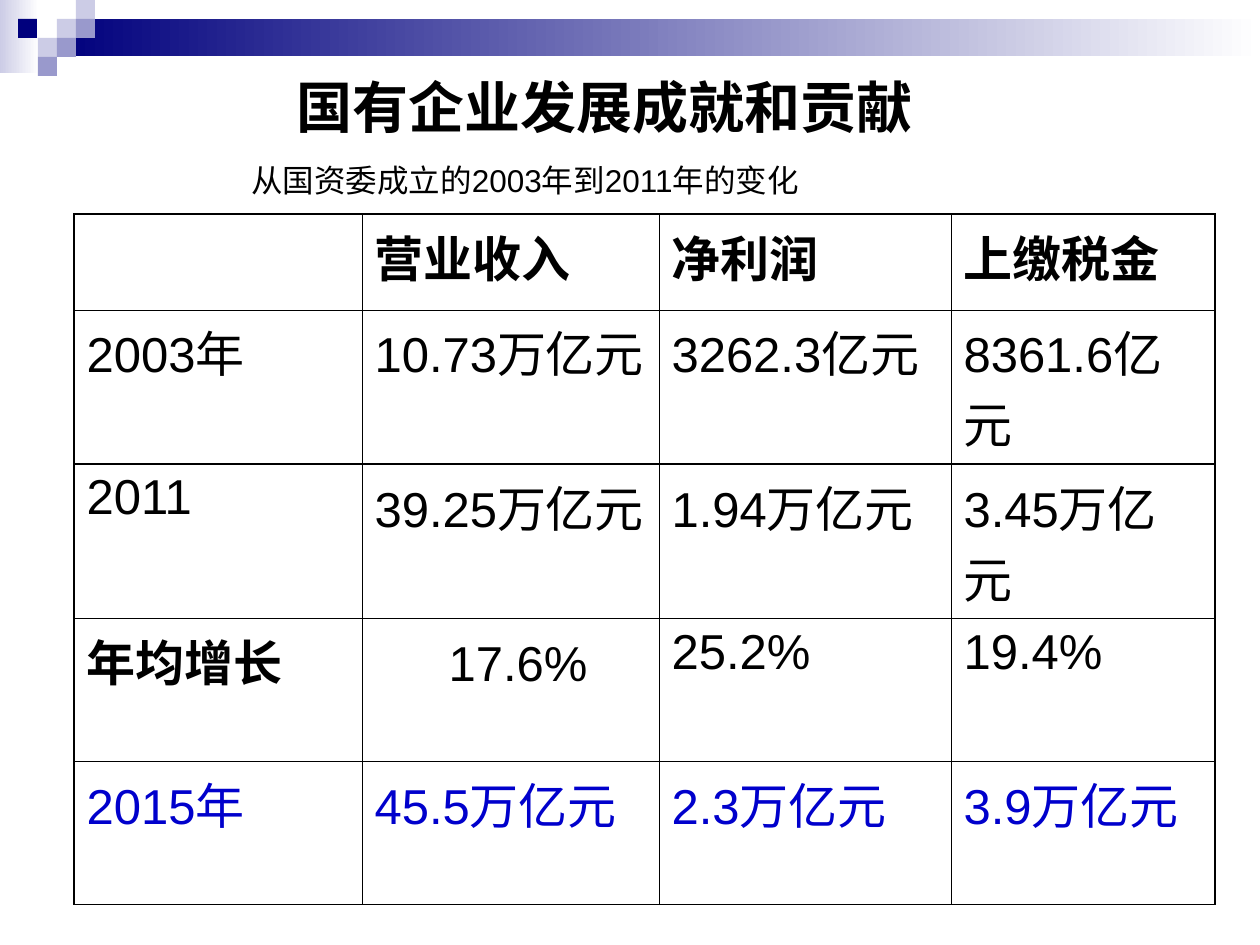
from dataclasses import dataclass
from typing import Optional

from lxml import etree
from pptx import Presentation
from pptx.dml.color import RGBColor
from pptx.enum.shapes import MSO_SHAPE
from pptx.enum.text import MSO_ANCHOR, MSO_AUTO_SIZE
from pptx.oxml.ns import qn
from pptx.util import Emu, Pt

RECT = MSO_SHAPE.RECTANGLE
TOP = MSO_ANCHOR.TOP
MIDDLE = MSO_ANCHOR.MIDDLE
FIXED = MSO_AUTO_SIZE.NONE


@dataclass(frozen=True)
class Theme:
    font: str = "Arial"
    black: str = "000000"
    white: str = "FFFFFF"
    blue: str = "0000CC"
    navy: str = "00007D"
    mid: str = "9999CC"
    pale: str = "CCCCE6"
    title: int = 32
    body: int = 28
    note: int = 18
    thin: float = 0.45
    thick: float = 1.08


@dataclass(frozen=True)
class Block:
    left: int
    top: int
    width: int
    height: int
    color: str
    fade: bool = False


@dataclass(frozen=True)
class Label:
    left: int
    top: int
    width: int
    height: int
    text: str
    size: int
    bold: bool = False
    anchor: MSO_ANCHOR = TOP


THEME = Theme()
SIDE = 19

BLOCKS = [
    Block(0, 0, 39, 73, THEME.pale, fade=True),
    Block(57, 19, 1203, 37, THEME.navy, fade=True),
] + [
    Block(left, row * SIDE, SIDE, SIDE, color)
    for left, row, color in [
        (57, 1, THEME.pale),
        (76, 0, THEME.pale),
        (76, 1, THEME.mid),
        (38, 2, THEME.pale),
        (18, 1, THEME.navy),
        (57, 2, THEME.mid),
        (38, 3, THEME.mid),
    ]
]

LABELS = [
    Label(284, 66, 654, 81, "国有企业发展成就和贡献", THEME.title, bold=True),
    Label(239, 155, 618, 50, "从国资委成立的2003年到2011年的变化", THEME.note, anchor=MIDDLE),
]

COLS = [288, 297, 292, 264]
ROWS = [96, 143, 143, 143, 143]
CELLS = [
    ["", "营业收入", "净利润", "上缴税金"],
    ["2003年", "10.73万亿元", "3262.3亿元", "8361.6亿元"],
    ["2011", "39.25万亿元", "1.94万亿元", "3.45万亿元"],
    ["年均增长", "17.6%", "25.2%", "19.4%"],
    ["2015年", "45.5万亿元", "2.3万亿元", "3.9万亿元"],
]
GROWTH = (3, 1)


def px(count: int) -> Emu:
    return Emu(round(count * 914400 / 126))


def write(frame, text: str, *, size: int, color: str = THEME.black,
          bold: bool = False, indent: Optional[int] = None) -> None:
    para = frame.paragraphs[0]
    if indent is not None:
        props = para._p.get_or_add_pPr()
        props.set("marL", str(px(indent)))
        props.set("indent", "0")
    run = para.add_run()
    run.text = text
    run.font.name = THEME.font
    run.font.size = Pt(size)
    run.font.bold = bold
    run.font.color.rgb = RGBColor.from_string(color)


def draw_block(slide, block: Block) -> None:
    shape = slide.shapes.add_shape(
        RECT, px(block.left), px(block.top), px(block.width), px(block.height))
    shape.shadow.inherit = False
    shape.line.fill.background()
    if block.fade:
        shape.fill.gradient()
        shape.fill.gradient_angle = 180
        for stop, color in zip(shape.fill.gradient_stops, (THEME.white, block.color)):
            stop.color.rgb = RGBColor.from_string(color)
        first, last = shape.fill.gradient_stops
        first.position, last.position = 0, 1
    else:
        shape.fill.solid()
        shape.fill.fore_color.rgb = RGBColor.from_string(block.color)


def draw_label(slide, label: Label) -> None:
    box = slide.shapes.add_textbox(
        px(label.left), px(label.top), px(label.width), px(label.height))
    frame = box.text_frame
    frame.word_wrap = True
    frame.auto_size = FIXED
    frame.vertical_anchor = label.anchor
    write(frame, label.text, size=label.size, bold=label.bold)


def draw_edge(cell, side: str, width: float) -> None:
    props = cell._tc.get_or_add_tcPr()
    line = etree.SubElement(props, qn(f"a:{side}"), w=str(int(Pt(width))))
    fill = etree.SubElement(line, qn("a:solidFill"))
    etree.SubElement(fill, qn("a:srgbClr"), val=THEME.black)


def draw_cell(cell, row: int, col: int) -> None:
    edges = {
        "lnL": col == 0,
        "lnR": col == len(COLS) - 1,
        "lnT": row != 1,
        "lnB": row != 0,
    }
    for side, heavy in edges.items():
        draw_edge(cell, side, THEME.thick if heavy else THEME.thin)
    cell.fill.background()
    cell.vertical_anchor = TOP
    text = CELLS[row][col]
    shifted = (row, col) == GROWTH
    if shifted:
        cell.margin_top = px(19)
    if text:
        write(cell.text_frame, text, size=THEME.body,
              color=THEME.blue if row == len(ROWS) - 1 else THEME.black,
              bold=row == 0 or (row, col) == (3, 0),
              indent=74 if shifted else None)


def draw_table(slide) -> None:
    table = slide.shapes.add_table(
        len(ROWS), len(COLS), px(74), px(214), px(sum(COLS)), px(sum(ROWS))).table
    table.first_row = False
    table.horz_banding = False
    for col, width in zip(table.columns, COLS):
        col.width = px(width)
    for row, height in zip(table.rows, ROWS):
        row.height = px(height)
    for row in range(len(ROWS)):
        for col in range(len(COLS)):
            draw_cell(table.cell(row, col), row, col)


def main() -> None:
    deck = Presentation()
    deck.slide_width, deck.slide_height = px(1260), px(945)
    slide = deck.slides.add_slide(deck.slide_layouts[6])
    for block in BLOCKS:
        draw_block(slide, block)
    draw_table(slide)
    for label in LABELS:
        draw_label(slide, label)
    deck.save("out.pptx")


if __name__ == "__main__":
    main()
